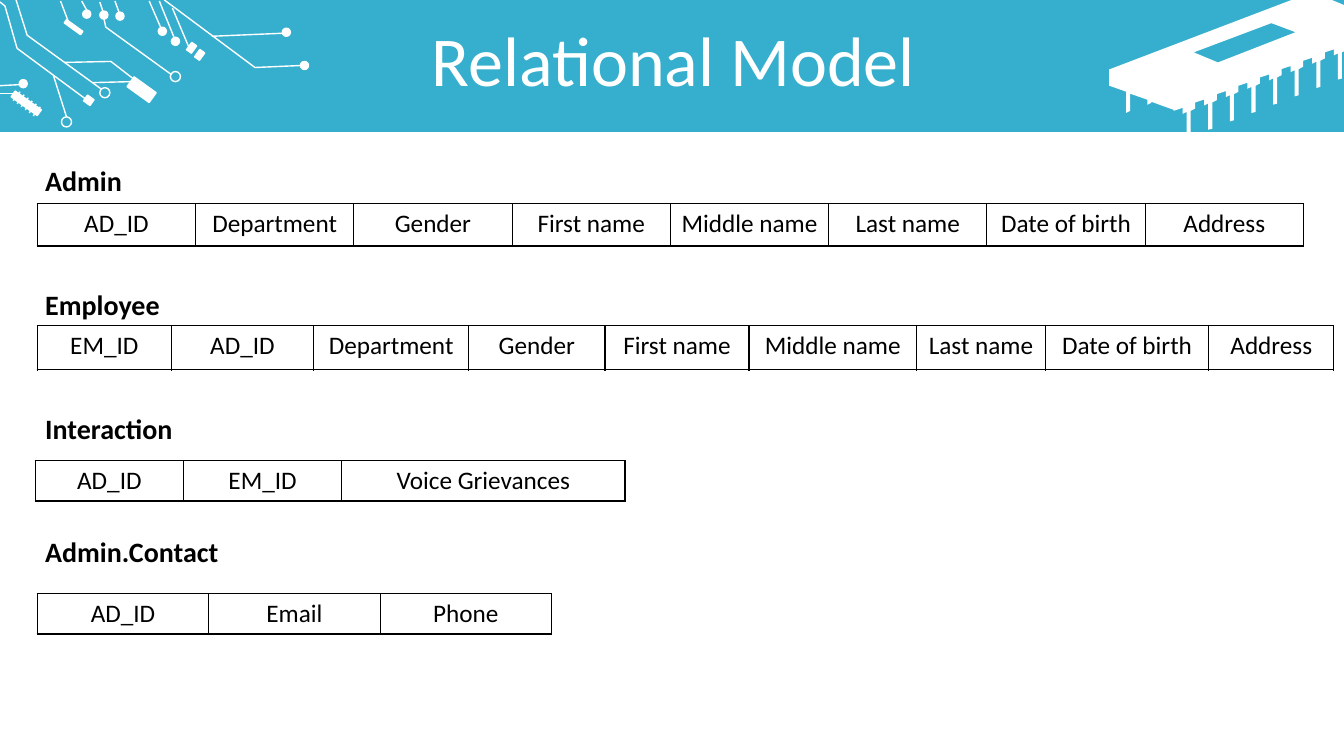
from dataclasses import dataclass

from lxml import etree
from pptx import Presentation
from pptx.dml.color import RGBColor
from pptx.enum import shapes, text
from pptx.oxml import ns
from pptx.util import Inches, Pt


@dataclass(frozen=True)
class Theme:
    font: str = "Calibri"
    banner: str = "36AFCE"
    white: str = "FFFFFF"
    black: str = "000000"
    title_size: int = 50
    heading_size: int = 20
    cell_size: int = 18
    line_width: int = 1
    tilt: float = 35.7


class RelationalSlide:
    def __init__(self, presentation, theme):
        self.theme = theme
        self.slide = presentation.slides.add_slide(presentation.slide_layouts[6])
        self.shapes = self.slide.shapes

    def set_format(self, target, values):
        for name, value in values.items():
            setattr(target, name, value)

    def paint(self, shape, fill=None, line=None):
        shape.shadow.inherit = False
        if fill:
            shape.fill.solid()
            shape.fill.fore_color.rgb = RGBColor.from_string(fill)
        else:
            shape.fill.background()
        if line:
            shape.line.color.rgb = RGBColor.from_string(line)
            shape.line.width = Pt(self.theme.line_width)
        else:
            shape.line.fill.background()

    def preset(self, kind, box, fill=None, line=None, rotation=0):
        shape = self.shapes.add_shape(kind, *map(Inches, box))
        shape.rotation = rotation
        self.paint(shape, fill, line)

    def outline(self, contours, closed=False, **colours):
        """Draw one freeform; a contour inside another becomes a hole."""
        scaled = [[(Inches(x), Inches(y)) for x, y in contour] for contour in contours]
        builder = self.shapes.build_freeform(*scaled[0][0])
        for index, contour in enumerate(scaled):
            if index:
                builder.move_to(*contour[0])
            builder.add_line_segments(contour[1:], close=closed)
        self.paint(builder.convert_to_shape(), **colours)

    def line(self, start, end):
        connector = self.shapes.add_connector(
            shapes.MSO_CONNECTOR.STRAIGHT, *map(Inches, (*start, *end)))
        connector.line.color.rgb = RGBColor.from_string(self.theme.white)
        connector.line.width = Pt(self.theme.line_width)
        etree.SubElement(connector._element.spPr, ns.qn("a:effectLst"))

    def add_words(self, paragraph, words, size, colour, bold=False, **layout):
        self.set_format(paragraph, layout)
        run = paragraph.add_run()
        run.text = words
        self.set_format(run.font, {"name": self.theme.font, "size": Pt(size), "bold": bold})
        run.font.color.rgb = RGBColor.from_string(colour)

    def text_box(self, box, lines, size, colour, anchor, bold=False, gap=0, **layout):
        frame = self.shapes.add_textbox(*map(Inches, box)).text_frame
        self.set_format(frame, {"word_wrap": True, "vertical_anchor": anchor})
        for index, words in enumerate(lines):
            paragraph = frame.add_paragraph() if index else frame.paragraphs[0]
            if index:
                paragraph.space_before = Pt(gap)
            self.add_words(paragraph, words, size, colour, bold, **layout)

    def border(self, cell):
        properties = cell._tc.get_or_add_tcPr()
        for side in ("lnL", "lnR", "lnT", "lnB"):
            edge = etree.SubElement(properties, ns.qn(f"a:{side}"), w=str(Pt(self.theme.line_width)))
            fill = etree.SubElement(edge, ns.qn("a:solidFill"))
            etree.SubElement(fill, ns.qn("a:srgbClr"), val=self.theme.black)

    def relation(self, left, top, height, widths, fields):
        table = self.shapes.add_table(
            1, len(fields), *map(Inches, (left, top, sum(widths), height))).table
        self.set_format(table, {"first_row": False, "horz_banding": False})
        for column, width, cell, field in zip(table.columns, widths, table.rows[0].cells, fields):
            column.width = Inches(width)
            self.border(cell)
            cell.fill.background()
            self.add_words(cell.text_frame.paragraphs[0], field, self.theme.cell_size,
                           self.theme.black, alignment=text.PP_ALIGN.CENTER)


def chip_contours():
    """Return the chip body with its eight legs, and the window in its top."""
    leg = [(0, 0), (0, 0.26), (-0.04, 0.27), (-0.04, 0.01),
           (-0.08, 0.03), (-0.08, -0.03), (-0.17, 0), (-0.17, 0.06)]
    leg_step_x, leg_step_y = -1.5 / 7, 0.58 / 7
    legs = [(13.31 + leg_step_x * i + x, 0.52 + leg_step_y * i + y)
            for i in range(8) for x, y in leg]
    legs[-1] = (11.64, 1.09)
    body = [(12.81, 0), (13.21, 0), (13.33, 0.05), (13.33, 0.51), *legs,
            (11.42, 1.01), (11.42, 1.02), (11.38, 1.04), (11.38, 0.99), (11.21, 0.93),
            (11.21, 1.1), (11.17, 1.12), (11.17, 0.91), (11, 0.85), (11, 0.69)]
    window = [(12.61, 0.23), (11.84, 0.52), (12.08, 0.62), (12.85, 0.32)]
    return [body, window]


def draw_circuit(page):
    theme = page.theme
    rectangle, ellipse = shapes.MSO_SHAPE.RECTANGLE, shapes.MSO_SHAPE.OVAL
    components = [(1.27, 0.83, 0.27, 0.12), (0.63, 0.25, 0.2, 0.04), (0.84, 0.96, 0.08, 0.07),
                  (1.87, 0.43, 0.06, 0.09), (1.95, 0.5, 0.06, 0.09), (0.1, 0.99, 0.32, 0.07)]
    for box in components:
        page.preset(rectangle, box, theme.white, theme.white, theme.tilt)
    dots = [(2.98, 0.61), (2.8, 0.28), (0.82, 0.1), (0.99, 0.11), (1.15, 0.12),
            (0.19, 0.79), (1.7, 0.37), (1.57, 0.27)]
    for dot in dots:
        page.preset(ellipse, (*dot, 0.08, 0.08), theme.white, theme.white)
    for ring in [(1.69, 0.71), (0.99, 0.87), (0.61, 1.16)]:
        page.preset(ellipse, (*ring, 0.1, 0.1), line=theme.white)

    bent_traces = [
        [(1.63, 0), (2.53, 0.67), (2.99, 0.65)],
        [(0.16, 0), (0.27, 0.35), (1, 0.88)],
        [(0, 0.02), (0.05, 0.06), (0.17, 0.48), (0.86, 0.99)],
        [(0.64, 0.62), (1.1, 0.61), (1.32, 0.78)],
        [(1.03, 0.18), (1.05, 0.27), (1.7, 0.74)],
    ]
    for trace in bent_traces:
        page.outline([trace], line=theme.white)
    straight_traces = [
        ((0.6, 0.01), (0.68, 0.22)), ((0.81, 0.01), (0.86, 0.1)), ((0.99, 0.02), (1.02, 0.11)),
        ((1.14, 0.01), (1.18, 0.12)), ((1.48, 0.01), (1.61, 0.31)), ((1.58, 0.01), (1.73, 0.38)),
        ((2.1, 0.36), (2.8, 0.33)), ((1.71, 0.08), (1.87, 0.46)), ((0, 0.85), (0.19, 0.84)),
        ((0, 0.93), (0.14, 0.93)), ((0.53, 0.75), (0.66, 1.16)), ((0.92, 0.82), (1.3, 0.81)),
    ]
    pins = [((0.13 + 0.04 * i, 1 + 0.03 * i), (0.2 + 0.04 * i, 0.91 + 0.03 * i))
            for i in range(6)]
    for start, end in straight_traces + pins:
        page.line(start, end)


def main():
    presentation = Presentation()
    presentation.slide_width, presentation.slide_height = Inches(13.33), Inches(7.5)
    theme = Theme()
    page = RelationalSlide(presentation, theme)

    page.preset(shapes.MSO_SHAPE.RECTANGLE, (0, 0, 13.33, 1.31), theme.banner)
    page.outline(chip_contours(), closed=True, fill=theme.white)
    draw_circuit(page)
    page.text_box((0.35, 0.26, 12.66, 0.79), ["Relational Model"], theme.title_size, theme.white,
                  text.MSO_ANCHOR.MIDDLE, alignment=text.PP_ALIGN.CENTER,
                  line_spacing=0.8, space_before=Pt(10))
    page.text_box((0.35, 1.57, 12.93, 5.69),
                  ["Admin", "Employee", "Interaction", "Admin.Contact"], theme.heading_size,
                  theme.black, text.MSO_ANCHOR.TOP, bold=True, gap=64.5)

    person = ["Department", "Gender", "First name", "Middle name",
              "Last name", "Date of birth", "Address"]
    page.relation(0.37, 2.02, 0.42, [1.57] * 8, ["AD_ID", *person])
    page.relation(0.37, 3.23, 0.44, [1.33, 1.41, 1.54, 1.35, 1.43, 1.66, 1.28, 1.62, 1.24],
                  ["EM_ID", "AD_ID", *person])
    page.relation(0.35, 4.57, 0.4, [1.47, 1.57, 2.81], ["AD_ID", "EM_ID", "Voice Grievances"])
    page.relation(0.37, 5.89, 0.4, [1.7] * 3, ["AD_ID", "Email", "Phone"])
    presentation.save("out.pptx")


if __name__ == "__main__":
    main()
